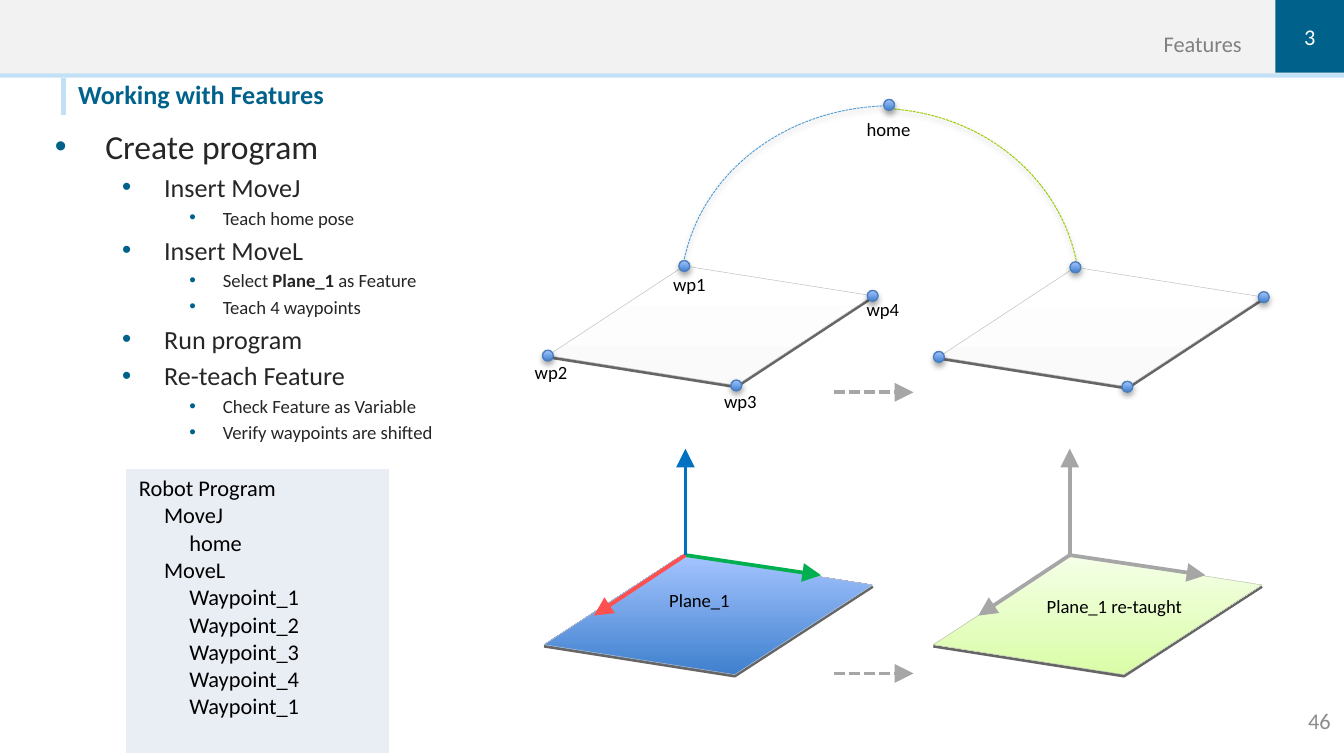
from lxml import etree
from pptx import Presentation
from pptx.dml.color import RGBColor
from pptx.enum import dml, shapes, text
from pptx.oxml.ns import qn
from pptx.util import Pt

FONT = "Calibri"
NAVY, SKY, GREY = "00628B", "C2E1F6", "A6A6A6"
BLUES = ("3F80CE", "A4C4FF")
GREENS = ("DAFDA7", "F5FFE7")
WHITES = ("FAFAFA", "FFFFFF")
# corners of a tilted plane as fractions of its box: left, front, right, back
CORNERS = [(0, 0.75), (0.58, 1), (1, 0.25), (0.42, 0)]

# size, indent, hanging indent
LEVELS = [(18, 27, 27), (14, 58.5, 22.5), (10, 90, 18)]
STEPS = [
    (0, "Create program"),
    (1, "Insert MoveJ"), (2, "Teach home pose"),
    (1, "Insert MoveL"), (2, "Select *Plane_1* as Feature"), (2, "Teach 4 waypoints"),
    (1, "Run program"),
    (1, "Re-teach Feature"), (2, "Check Feature as Variable"),
    (2, "Verify waypoints are shifted"),
]
PROGRAM = [(0, "Robot Program"), (1, "MoveJ"), (2, "home"), (1, "MoveL")] + [
    (2, f"Waypoint_{n}") for n in (1, 2, 3, 4, 1)]


def rgb(value):
    return RGBColor.from_string(value)


def points(*values):
    return [Pt(round(v, 2)) for v in values]


def child(parent, tag, **attrs):
    return etree.SubElement(parent, qn(tag), {k: str(v) for k, v in attrs.items()})


def style_font(p, size, color, bold=False):
    f = p.font
    f.name, f.size, f.bold = FONT, Pt(size), bold
    f.color.rgb = rgb(color)


def paint(sp, fill=None, line=None, width=0.75):
    sp.shadow.inherit = False
    if fill is None:
        sp.fill.background()
    elif isinstance(fill, str):
        sp.fill.solid()
        sp.fill.fore_color.rgb = rgb(fill)
    else:
        sp.fill.gradient()
        sp.fill.gradient_angle = 90
        for stop, color in zip(sp.fill.gradient_stops, fill):
            stop.color.rgb = rgb(color)
    if line:
        sp.line.color.rgb = rgb(line)
        sp.line.width = Pt(width)
    else:
        sp.line.fill.background()


def cast_shadow(sp):
    effects = sp._element.spPr.find(qn("a:effectLst"))
    shadow = child(effects, "a:outerShdw", blurRad=Pt(3.1), dist=Pt(1.8),
                   dir=5400000, rotWithShape=0)
    color = child(shadow, "a:srgbClr", val="000000")
    child(color, "a:alpha", val=35000)


def add_rect(s, box, fill):
    sp = s.shapes.add_shape(shapes.MSO_SHAPE.RECTANGLE, *points(*box))
    paint(sp, fill)
    return sp


def write(sp, words, size, color, align="LEFT", anchor="TOP", bold=False, inset=None):
    tf = sp.text_frame
    tf.word_wrap = True
    tf.vertical_anchor = text.MSO_ANCHOR[anchor]
    if inset is not None:
        tf.margin_left = tf.margin_right = tf.margin_top = tf.margin_bottom = Pt(inset)
    p = tf.paragraphs[0]
    p.text = words
    p.alignment = text.PP_ALIGN[align]
    style_font(p, size, color, bold)


def add_text(s, box, words, size, color, **options):
    write(s.shapes.add_textbox(*points(*box)), words, size, color, **options)


def add_label(s, x, y, words, width=39):
    add_text(s, (x, y, width, 19.5), words, 10, "000000")


def add_line(s, start, end, color, width=2.0, dashed=False, arrow=True):
    c = s.shapes.add_connector(shapes.MSO_CONNECTOR.STRAIGHT, *points(*start, *end))
    c.line.color.rgb = rgb(color)
    c.line.width = Pt(width)
    if dashed:
        c.line.dash_style = dml.MSO_LINE.SQUARE_DOT
    if arrow:
        child(c.line._get_or_add_ln(), "a:tailEnd", type="triangle", w="lg", len="lg")
    child(c._element.spPr, "a:effectLst")


def header(s, box):
    x, y, w, h = box
    add_rect(s, box, SKY)
    add_rect(s, (x, y, w, h - 2.2), "F2F2F2")
    add_text(s, (x + w / 2, y, 305.3, 30.6), "Features", 12, "808080",
             align="RIGHT", anchor="BOTTOM", inset=0)
    chapter = add_rect(s, (x + w - 36.7, y, 36.7, 39), NAVY)
    write(chapter, "3", 12, "FFFFFF", align="CENTER", anchor="MIDDLE", inset=0)


def title(s, box):
    x, y, w, h = box
    add_line(s, (x, y), (x, y + h), SKY, 2.5, arrow=False)
    add_text(s, (x + 8, y + 0.3, w, h), "Working with Features", 14, NAVY, bold=True, inset=0)


def steps(s, box):
    tf = s.shapes.add_textbox(*points(*box)).text_frame
    tf.word_wrap = True
    for i, (level, words) in enumerate(STEPS):
        size, indent, hang = LEVELS[level]
        p = tf.add_paragraph() if i else tf.paragraphs[0]
        p.level = level
        if i:
            p.space_before = Pt(0.2 * size)
        pr = p._p.get_or_add_pPr()
        pr.set("marL", str(Pt(indent)))
        pr.set("indent", str(-Pt(hang)))
        child(child(pr, "a:buClr"), "a:srgbClr", val=NAVY)
        child(pr, "a:buFont", typeface="Arial")
        child(pr, "a:buChar", char="•")
        style_font(p, size, "262626")
        # words between asterisks are bold
        for n, part in enumerate(words.split("*")):
            r = p.add_run()
            r.text = part
            if n % 2:
                r.font.bold = True


def program(s, box):
    table = s.shapes.add_table(1, 1, *points(*box)).table
    table.first_row = table.horz_banding = False
    cell = table.cell(0, 0)
    cell.fill.solid()
    cell.fill.fore_color.rgb = rgb("E9EDF4")
    for i, (level, words) in enumerate(PROGRAM):
        p = cell.text_frame.add_paragraph() if i else cell.text_frame.paragraphs[0]
        p.text = words
        p._p.get_or_add_pPr().set("marL", str(Pt(13.5 * level)))
        style_font(p, 12, "000000")


def plane(s, box, fill):
    x, y, w, h = box
    corners = [(x + fx * w, y + fy * h) for fx, fy in CORNERS]
    # thick front edge, then the face
    for drop, outline, closed in ((0.7, corners[:3], False), (0, corners, True)):
        pts = [points(px, py + drop) for px, py in outline]
        fb = s.shapes.build_freeform(*pts[0])
        fb.add_line_segments(pts[1:], close=closed)
        sp = fb.convert_to_shape()
        if closed:
            paint(sp, fill, "BFBFBF", 0.25)
        else:
            paint(sp, None, "666666", 1.75)
    return corners


def dot(s, x, y):
    sp = s.shapes.add_shape(shapes.MSO_SHAPE.OVAL, *points(x - 2.9, y - 2.9, 5.8, 5.8))
    paint(sp, BLUES, "4B7EBC")
    cast_shadow(sp)


def arc(s, box, rotation, color, flip=False):
    sp = s.shapes.add_shape(shapes.MSO_SHAPE.ARC, *points(*box))
    sp.adjustments[0], sp.adjustments[1] = 162, 207.6
    sp.rotation = rotation
    if flip:
        sp._element.spPr.get_or_add_xfrm().set("flipH", "1")
    paint(sp, None, color, 0.5)
    sp.line.dash_style = dml.MSO_LINE.SQUARE_DOT
    cast_shadow(sp)


def waypoint_plane(s, box):
    for corner in plane(s, box, WHITES):
        dot(s, *corner)


def frame_plane(s, box, fill, axis_x, colors):
    x, y, w, h = box
    plane(s, box, fill)
    origin = (x + axis_x, y)
    for (dx, dy), color in zip([(72.7, 10.8), (-49, 32.4), (0, -57)], colors):
        add_line(s, origin, (origin[0] + dx, origin[1] + dy), color)


def waypoints(s, box):
    x, y, w, h = box
    arc(s, (x + 83.8, y - 12, 210.2, 236.2), 279.4, "56A0D3")
    arc(s, (x + 69.4, y - 6.3, 207.4, 224.6), 80.6, "99CC00", flip=True)
    waypoint_plane(s, (x, y + 86.5, 174, 64))
    waypoint_plane(s, (x + w - 174, y + 87.2, 174, 64))
    dot(s, x + 182.8, y + 0.2)
    for dx, dy, words in [(-14.1, 134, "wp2"), (60, 86.6, "wp1"), (87.4, 149.2, "wp3"),
                          (163.7, 100.2, "wp4"), (163.7, 3.8, "home")]:
        add_label(s, x + dx, y + dy, words)


def frames(s, box):
    x, y, w, h = box
    frame_plane(s, (x, y, 176, h), BLUES, 75.7, ("00B050", "FF5050", "0070C0"))
    frame_plane(s, (x + w - 176, y, 176, h), GREENS, 73.1, [GREY] * 3)
    add_label(s, x + 59.9, y + 14.5, "Plane_1", 70)
    add_label(s, x + 262.2, y + 18, "Plane_1 re-taught", 97)


def main():
    prs = Presentation()
    prs.slide_width, prs.slide_height = Pt(720), Pt(405)
    s = prs.slides.add_slide(prs.slide_layouts[6])
    header(s, (0, 0, 720, 41.6))
    title(s, (33.9, 41.6, 317, 20))
    steps(s, (22.3, 63.8, 250, 180))
    program(s, (67.2, 251, 141.6, 152.6))
    waypoints(s, (293.5, 56, 383.5, 151.2))
    frames(s, (291.5, 297.4, 384.5, 64))
    # dashed arrows from the first position to the shifted one
    for y in (210.2, 360.8):
        add_line(s, (446.6, y), (489.4, y), GREY, dashed=True)
    add_text(s, (648, 375.3, 72, 21.6), "46", 12, "8C8C8C", align="RIGHT", anchor="MIDDLE")
    prs.save("out.pptx")


if __name__ == "__main__":
    main()
